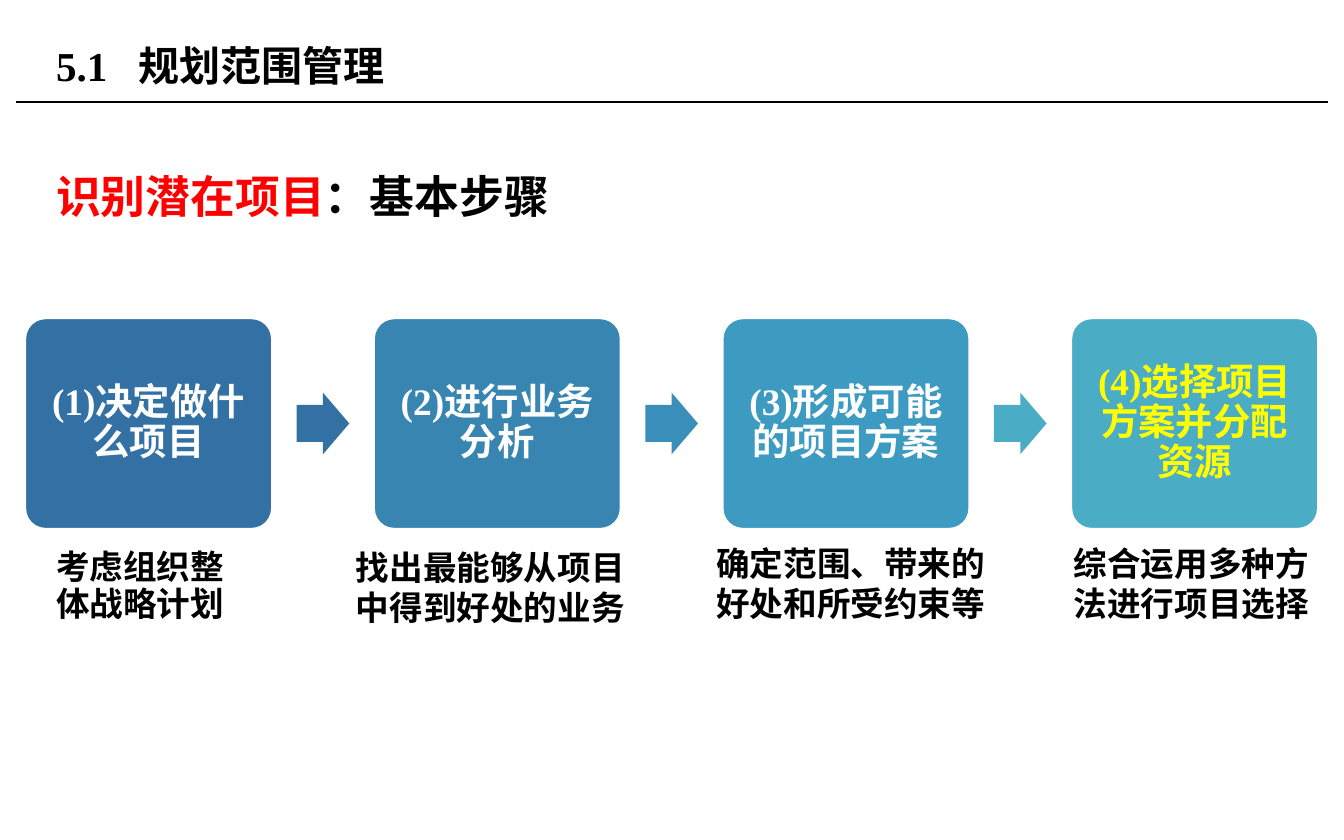
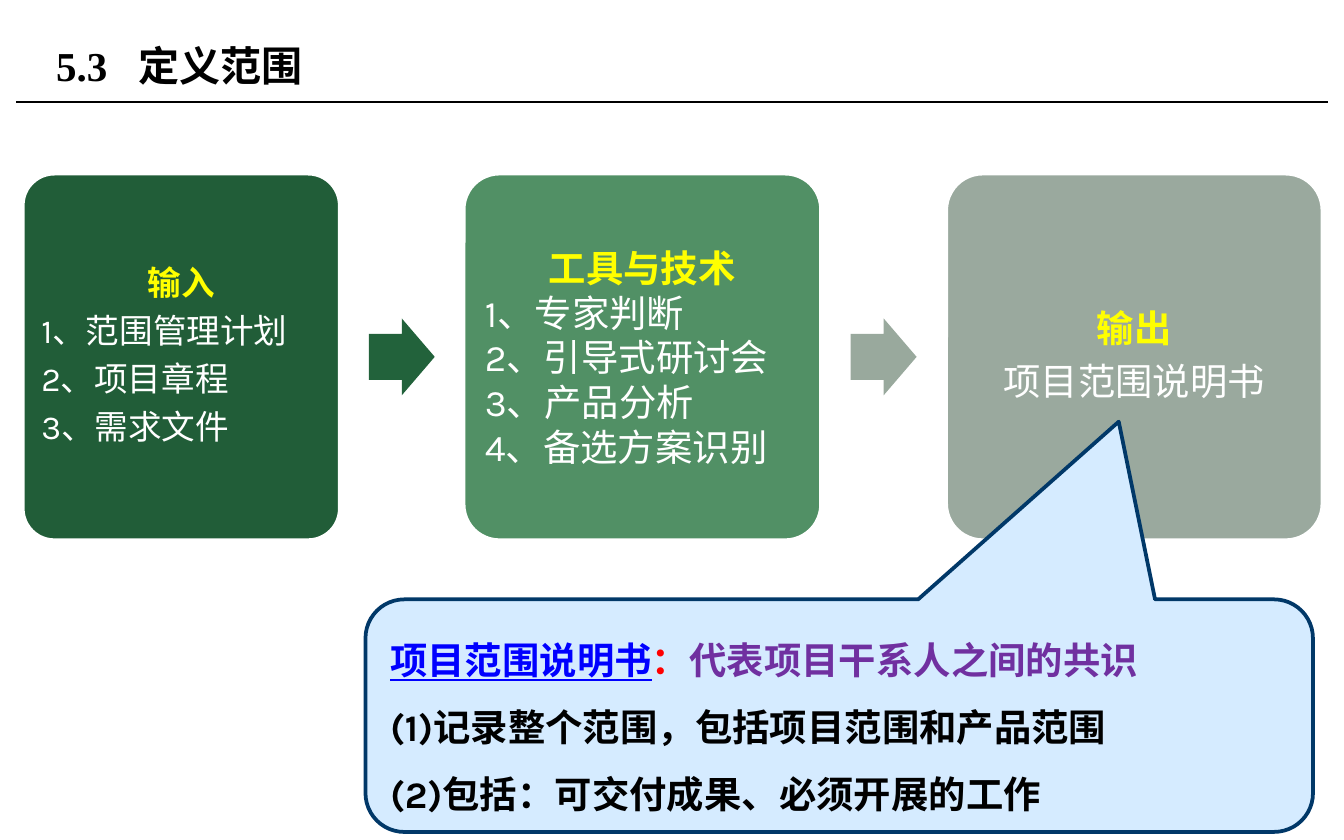
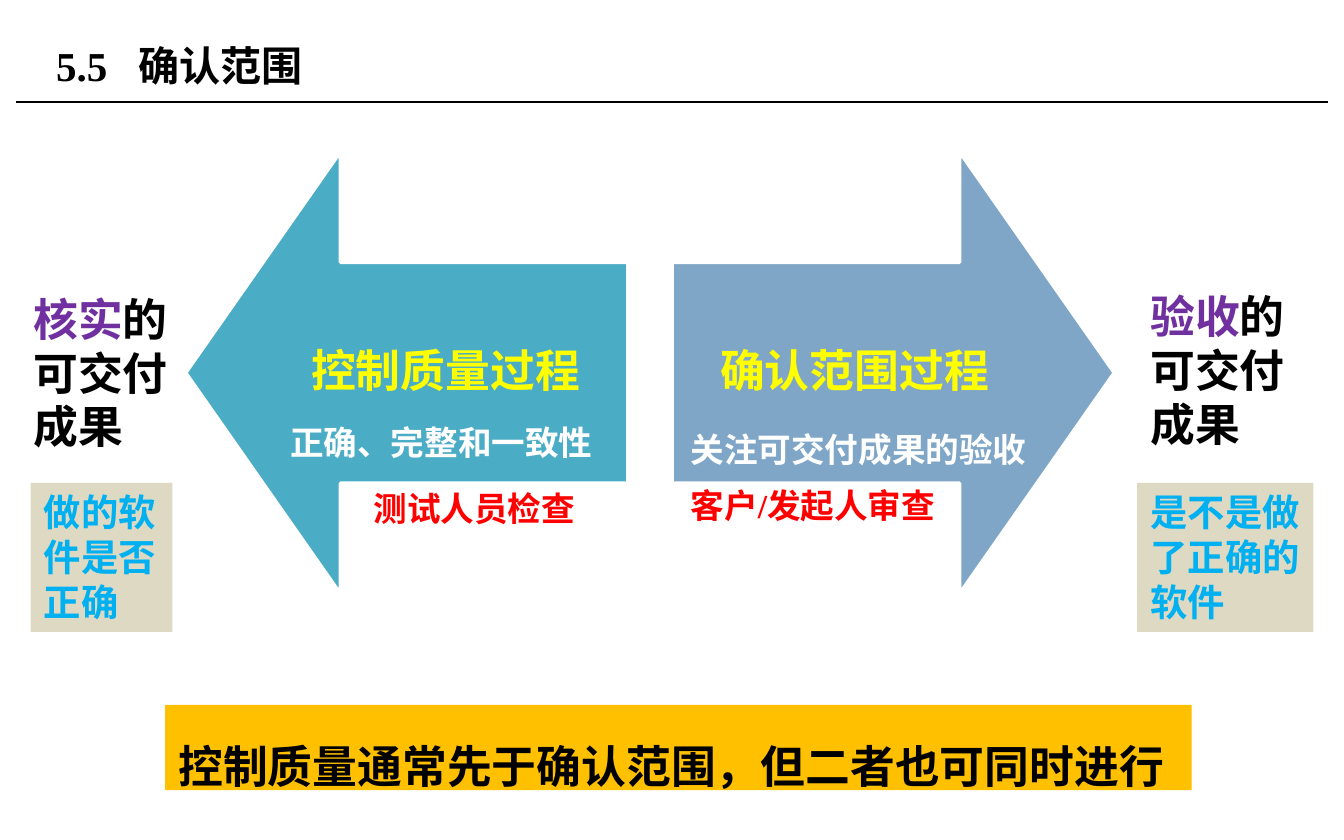
import pptx
import pptx.util
import pptx.dml.color
import pptx.enum.shapes
import pptx.enum.text
import pptx.oxml
import pptx.oxml.ns
from lxml import etree

Pt = pptx.util.Pt
SHAPE = pptx.enum.shapes.MSO_SHAPE
ANCHOR = pptx.enum.text.MSO_ANCHOR
CENTER = pptx.enum.text.PP_ALIGN.CENTER
LEFT = pptx.enum.text.PP_ALIGN.LEFT

TIMES, KARLA = "Times New Roman", "Karla"
BLACK, WHITE, RED, YELLOW = "000000", "FFFFFF", "FF0000", "FFFF00"
PURPLE, SKY, BLUE = "7030A0", "00B0F0", "0000FF"
SAND, GOLD, TEAL, STEEL = "DDD9C3", "FFC000", "4BACC6", "7FA6C7"
CALLOUT_FILL, CALLOUT_LINE = "D5EBFF", "013868"

STEPS = [
    ("(1)决定做什么项目", "3371A4", WHITE),
    ("(2)进行业务分析", "3885B2", WHITE),
    ("(3)形成可能的项目方案", "3D9AC1", WHITE),
    ("(4)选择项目方案并分配资源", TEAL, YELLOW),
]
STEP_ARROWS = ["3371A4", "3A8FBA", TEAL]
STEP_NOTES = [
    ("考虑组织整体战略计划", (23, 291.6, 121, 46.8), 0.9),
    ("找出最能够从项目中得到好处的业务", (183.6, 289.4, 166.3, 51.1), None),
    ("确定范围、带来的好处和所受约束等", (376.6, 287.3, 166.3, 51.1), None),
    ("综合运用多种方法进行项目选择", (568.1, 287.3, 145.4, 51.1), None),
]

PROCESS = [
    dict(head="输入", items=["1、范围管理计划", "2、项目章程", "3、需求文件"], left=12.2,
         width=169.9, fill="215D38", size=18, align=LEFT, spacing=0.9, inset=5),
    dict(head="工具与技术", items=["1、专家判断", "2、引导式研讨会", "3、产品分析", "4、备选方案识别"],
         left=248.4, width=191.5, fill="519065", size=20, align=LEFT, spacing=None, inset=5.8),
    dict(head="输出", items=["项目范围说明书"], left=506.9,
         width=201.6, fill="9AA99E", size=20, align=CENTER, spacing=0.9, inset=5.8),
]
PROCESS_ARROWS = ["22623B", "99A99D"]
STATEMENT = [
    [("项目范围说明书", BLUE, TIMES, True), ("：", RED, KARLA), ("代表项目干系人之间的共识", PURPLE, TIMES)],
    [("(1)记录整个范围，包括项目范围和产品范围", BLACK, KARLA)],
    [("(2)包括：", BLACK, KARLA), ("可交付成果、必须开展的工作", BLACK, TIMES)],
]

BIG_ARROWS = [
    (SHAPE.LEFT_ARROW, "控制质量过程", TEAL, 99.4),
    (SHAPE.RIGHT_ARROW, "确认范围过程", STEEL, 360),
]
RESULTS = [("核实", (10.8, 152.6, 87.8, 94.3)), ("验收", (609.1, 151.2, 87.8, 94.3))]
QUESTIONS = [
    ("做的软件是否正确", (16.4, 258.7, 76, 79.9)),
    ("是不是做了正确的软件", (609.2, 258.7, 94.5, 79.9)),
]
ARROW_NOTES = [
    ("正确、完整和一致性", WHITE, (148.3, 222.5, 181.4, 28.8), None),
    ("关注可交付成果的验收", WHITE, (362.9, 215.3, 197.3, 36), 1.5),
    ("测试人员检查", RED, (193, 257.8, 123.8, 28.8), None),
    ("客户/发起人审查", RED, (362.9, 256.3, 146.9, 28.8), None),
]


def color(value):
    return pptx.dml.color.RGBColor.from_string(value)


def add_par(tf, runs, size, align=LEFT, spacing=None, after=0, bold=True):
    p = tf.paragraphs[0]
    if p.runs:
        p = tf.add_paragraph()
    p.alignment = align
    if spacing:
        p.line_spacing = spacing
    if after:
        p.space_after = Pt(after)
    for text, fill, font, *underline in runs:
        r = p.add_run()
        r.text = text
        r.font.size, r.font.bold, r.font.name = Pt(size), bold, font
        r.font.color.rgb = color(fill)
        if underline:
            r.font.underline = True
    return p


def prepare(sp, anchor, inset=None):
    tf = sp.text_frame
    tf.word_wrap = True
    tf.vertical_anchor = anchor
    if inset is not None:
        tf.margin_left = tf.margin_right = tf.margin_top = tf.margin_bottom = Pt(inset)
    return tf


def add_text(slide, box, anchor=ANCHOR.TOP):
    return prepare(slide.shapes.add_textbox(*map(Pt, box)), anchor)


def add_shape(slide, kind, box, fill, line=None, adj=(), anchor=ANCHOR.MIDDLE, inset=None):
    sp = slide.shapes.add_shape(kind, *map(Pt, box))
    sp.shadow.inherit = False
    sp.fill.solid()
    sp.fill.fore_color.rgb = color(fill)
    if line:
        sp.line.color.rgb = color(line)
        sp.line.width = Pt(2)
    else:
        sp.line.fill.background()
    for i, value in enumerate(adj):
        sp.adjustments[i] = value
    return prepare(sp, anchor, inset)


def add_gap_arrow(slide, start, end, middle, width, height, fill):
    box = ((start + end - width) / 2, middle - height / 2, width, height)
    add_shape(slide, SHAPE.RIGHT_ARROW, box, fill, adj=(0.6, 0.5))


def new_slide(prs, number, title):
    slide = prs.slides.add_slide(prs.slide_layouts[6])
    rule = slide.shapes.add_connector(pptx.enum.shapes.MSO_CONNECTOR.STRAIGHT,
                                      Pt(8.6), Pt(54.7), Pt(711.4), Pt(54.7))
    rule.line.color.rgb = color(BLACK)
    rule.line.width = Pt(0.75)
    etree.SubElement(rule._element.spPr, pptx.oxml.ns.qn("a:effectLst"))
    tf = add_text(slide, (23, 9.4, 459.4, 51.1), ANCHOR.MIDDLE)
    p = add_par(tf, [(number + "\t" + title, BLACK, TIMES)], 22)
    tabs = etree.SubElement(p._p.get_or_add_pPr(), pptx.oxml.ns.qn("a:tabLst"))
    etree.SubElement(tabs, pptx.oxml.ns.qn("a:tab"), pos=str(Pt(44)), algn="l")
    return slide


def build_steps(prs):
    slide = new_slide(prs, "5.1", "规划范围管理")
    left, top, width, height, pitch = 13, 170, 133.2, 113.8, 186.8
    for i, (text, fill, ink) in enumerate(STEPS):
        x = left + i * pitch
        tf = add_shape(slide, SHAPE.ROUNDED_RECTANGLE, (x, top, width, height), fill, WHITE,
                       (0.1,), inset=5.8)
        add_par(tf, [(text, ink, TIMES)], 20, CENTER, 0.9, 7)
        if i < len(STEP_ARROWS):
            add_gap_arrow(slide, x + width, x + pitch, top + height / 2, 28.2, 33, STEP_ARROWS[i])
    tf = add_text(slide, (23, 87.1, 361.4, 36))
    add_par(tf, [("识别潜在项目", RED, KARLA), ("：基本步骤", BLACK, KARLA)], 24)
    for text, box, spacing in STEP_NOTES:
        add_par(add_text(slide, box), [(text, BLACK, TIMES)], 18, spacing=spacing)


def build_process(prs):
    slide = new_slide(prs, "5.3", "定义范围")
    top, height = 93, 196.4
    for part in PROCESS:
        tf = add_shape(slide, SHAPE.ROUNDED_RECTANGLE, (part["left"], top, part["width"], height),
                       part["fill"], WHITE, (0.1,), inset=part["inset"])
        size, spacing = part["size"], part["spacing"]
        after = size * 0.35 if spacing else 0
        add_par(tf, [(part["head"], YELLOW, KARLA)], size, CENTER, spacing, after)
        for item in part["items"]:
            add_par(tf, [(item, WHITE, KARLA)], size, part["align"], spacing, after, False)
    for a, b, fill in zip(PROCESS, PROCESS[1:], PROCESS_ARROWS):
        add_gap_arrow(slide, a["left"] + a["width"], b["left"], top + height / 2, 35.3, 41.2, fill)
    tf = add_shape(slide, SHAPE.ROUNDED_RECTANGULAR_CALLOUT, (195.8, 321.1, 507.6, 124.6),
                   CALLOUT_FILL, CALLOUT_LINE, (0.295, -1.264, 0.167))
    for runs in STATEMENT:
        add_par(tf, runs, 20, spacing=1.5)


def build_validation(prs):
    slide = new_slide(prs, "5.5", "确认范围")
    for text, box in QUESTIONS:
        tf = add_shape(slide, SHAPE.RECTANGLE, box, SAND, anchor=ANCHOR.TOP)
        add_par(tf, [(text, SKY, TIMES)], 20)
    for kind, text, fill, left in BIG_ARROWS:
        tf = add_shape(slide, kind, (left, 81.2, 237, 237), fill, WHITE, (0.5, 0.35), inset=13.7)
        add_par(tf, [(text, YELLOW, TIMES)], 24, CENTER, 0.9, 8.4)
    for text, ink, box, spacing in ARROW_NOTES:
        add_par(add_text(slide, box), [(text, ink, TIMES)], 18, spacing=spacing)
    for word, box in RESULTS:
        add_par(add_text(slide, box), [(word, PURPLE, TIMES), ("的可交付成果", BLACK, TIMES)], 24)
    tf = add_shape(slide, SHAPE.RECTANGLE, (88.4, 377.6, 550, 45.7), GOLD, anchor=ANCHOR.TOP)
    add_par(tf, [("控制质量通常先于确认范围，但二者也可同时进行", BLACK, TIMES)], 24, spacing=1.5)


def main():
    prs = pptx.Presentation()
    prs.slide_width, prs.slide_height = Pt(720), Pt(450)
    build_steps(prs)
    build_process(prs)
    build_validation(prs)
    prs.save("out.pptx")


if __name__ == "__main__":
    main()
